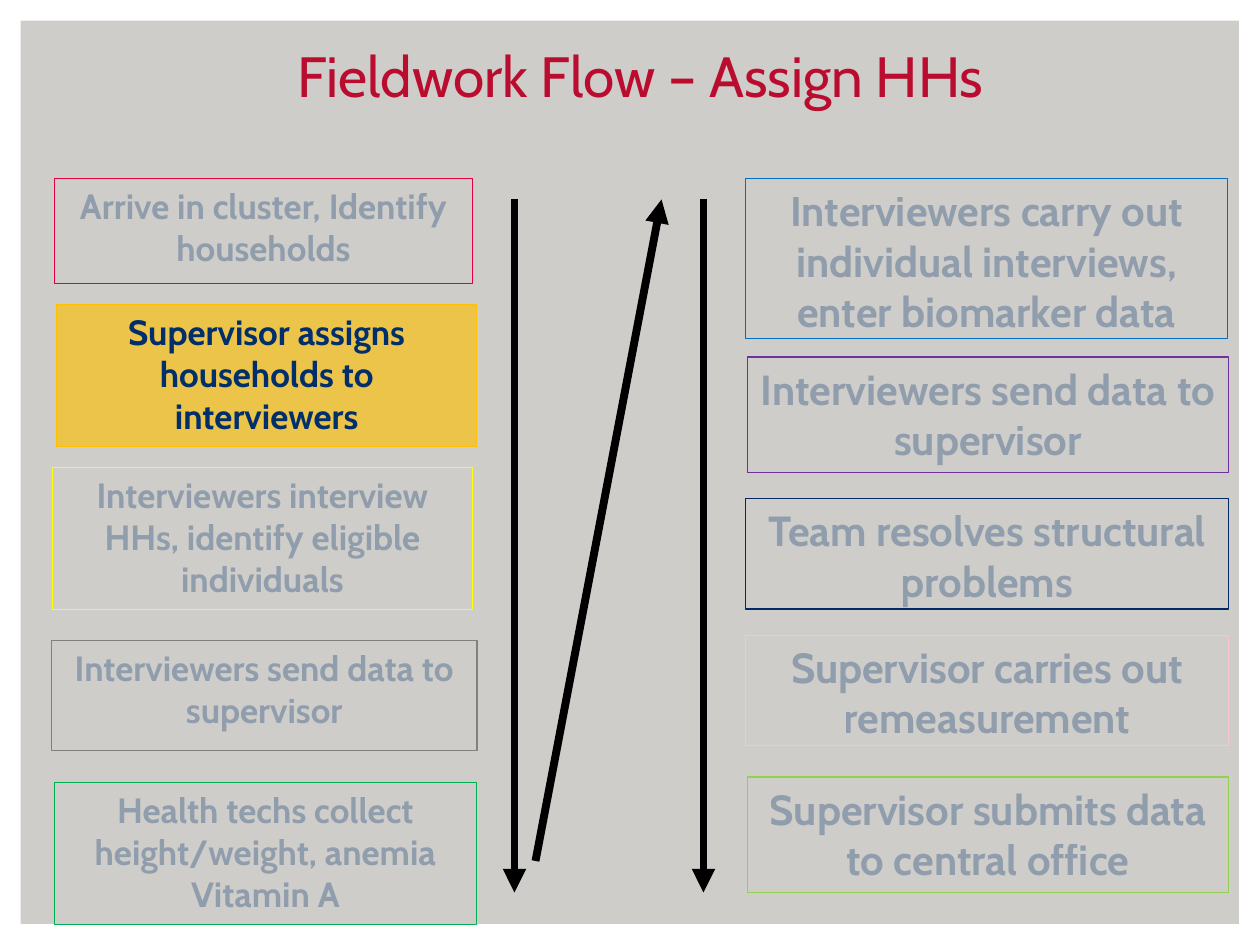
from pptx import Presentation
from pptx.dml.color import RGBColor
from pptx.enum.shapes import MSO_CONNECTOR, MSO_SHAPE
from pptx.enum.text import MSO_ANCHOR, MSO_AUTO_SIZE, PP_ALIGN
from pptx.oxml.ns import qn
from pptx.util import Pt
from lxml import etree

FRAME, RECTANGLE = MSO_SHAPE.FRAME, MSO_SHAPE.RECTANGLE
STRAIGHT = MSO_CONNECTOR.STRAIGHT
TOP, BOTTOM = MSO_ANCHOR.TOP, MSO_ANCHOR.BOTTOM
CENTER = PP_ALIGN.CENTER
NO_AUTOFIT = MSO_AUTO_SIZE.NONE
TITLE_ONLY = 5

COLORS = {
    "background": "CFCDC9", "frame": "FFFFFF", "title": "BA0C2F",
    "text": "002F6C", "arrow": "000000", "crimson": "E10040",
    "amber": "FFC000", "yellow": "FFFF00", "gray": "808080",
    "green": "00B050", "blue": "0070C0", "purple": "7030A0",
    "navy": "002A61", "pink": "FBC4CF", "lime": "92D050",
}
FADED_TEXT, HIGHLIGHT_FILL = 30, 63

LEFT_STEPS = [
    ("Arrive in cluster, Identify households", "crimson", (31, 102, 239, 60)),
    ("Supervisor assigns households to interviewers", "amber",
     (32.4, 174, 240, 81.4)),
    ("Interviewers interview HHs, identify eligible individuals", "yellow",
     (30, 267, 240, 81.4)),
    ("Interviewers send data to supervisor", "gray", (29.5, 366, 243, 63)),
    ("Health techs collect height/weight, anemia Vitamin A", "green",
     (31, 447, 241.4, 81.4)),
]
RIGHT_STEPS = [
    ("Interviewers carry out individual interviews, enter biomarker data",
     "blue", (426, 102, 275.4, 91.4)),
    ("Interviewers send data to supervisor", "purple", (427, 204, 275, 66)),
    ("Team resolves structural problems", "navy", (426, 285, 276, 63)),
    ("Supervisor carries out remeasurement", "pink", (426, 363, 276, 63)),
    ("Supervisor submits data to central office", "lime",
     (427, 444, 275, 66)),
]
HIGHLIGHTED = "Supervisor assigns households to interviewers"
ARROWS = [(294, 114, 294, 510), (402, 114, 402, 510), (306, 492, 378, 114)]


def rgb(name):
    """Return the named colour."""
    return RGBColor.from_string(COLORS[name])


def set_opacity(element, color_path, percent):
    """Make the colours found under an element partly transparent."""
    for color in element.xpath(color_path):
        etree.SubElement(color, qn("a:alpha"), val=str(percent * 1000))


def write_text(shape, text, size, color="text", bold=False, anchor=TOP,
               opacity=100):
    """Write one centred paragraph into a shape."""
    frame = shape.text_frame
    frame.word_wrap = True
    frame.auto_size = NO_AUTOFIT
    frame.vertical_anchor = anchor
    paragraph = frame.paragraphs[0]
    paragraph.alignment = CENTER
    run = paragraph.add_run()
    run.text = text
    run.font.name = "Cabin"
    run.font.size = Pt(size)
    run.font.bold = bold
    run.font.color.rgb = rgb(color)
    if opacity < 100:
        set_opacity(run._r, "./a:rPr/a:solidFill/a:srgbClr", opacity)


def add_backdrop(slide, box):
    """Colour the background and put a thin frame round the box."""
    slide.background.fill.solid()
    slide.background.fill.fore_color.rgb = rgb("background")
    shape = slide.shapes.add_shape(FRAME, *map(Pt, box))
    shape.adjustments[0] = 0.022
    shape.shadow.inherit = False
    shape.fill.solid()
    shape.fill.fore_color.rgb = rgb("frame")
    shape.line.fill.background()


def add_title(slide, text, box):
    """Place and fill the title placeholder."""
    title = slide.shapes.title
    title.left, title.top, title.width, title.height = map(Pt, box)
    write_text(title, text, 32.4, color="title", anchor=BOTTOM)


def add_step(slide, text, color, box, size):
    """Add one step box, filled when it is the highlighted step."""
    shape = slide.shapes.add_shape(RECTANGLE, *map(Pt, box))
    shape.shadow.inherit = False
    shape.line.color.rgb = rgb(color)
    shape.line.width = Pt(0.75)
    highlighted = text == HIGHLIGHTED
    if highlighted:
        shape.fill.solid()
        shape.fill.fore_color.rgb = rgb(color)
        set_opacity(shape._element, "./p:spPr/a:solidFill/a:srgbClr",
                    HIGHLIGHT_FILL)
    else:
        shape.fill.background()
    write_text(shape, text, size, bold=True,
               opacity=100 if highlighted else FADED_TEXT)


def add_column(slide, steps, size):
    """Add a column of step boxes."""
    for text, color, box in steps:
        add_step(slide, text, color, box, size)


def add_arrow(slide, ends):
    """Add a thick straight arrow between two points."""
    connector = slide.shapes.add_connector(STRAIGHT, *map(Pt, ends))
    connector.line.color.rgb = rgb("arrow")
    connector.line.width = Pt(4.5)
    etree.SubElement(connector.line._get_or_add_ln(), qn("a:tailEnd"),
                     type="triangle")
    etree.SubElement(connector._element.spPr, qn("a:effectLst"))


def main():
    """Build and save the fieldwork flow slide."""
    presentation = Presentation()
    presentation.slide_width, presentation.slide_height = Pt(720), Pt(540)
    slide = presentation.slides.add_slide(
        presentation.slide_layouts[TITLE_ONLY])
    add_backdrop(slide, (0, 0, 720, 540))
    add_title(slide, "Fieldwork Flow – Assign HHs", (24, 18, 684, 48))
    add_column(slide, LEFT_STEPS, 20)
    add_column(slide, RIGHT_STEPS, 24)
    for ends in ARROWS:
        add_arrow(slide, ends)
    presentation.save("out.pptx")


if __name__ == "__main__":
    main()
